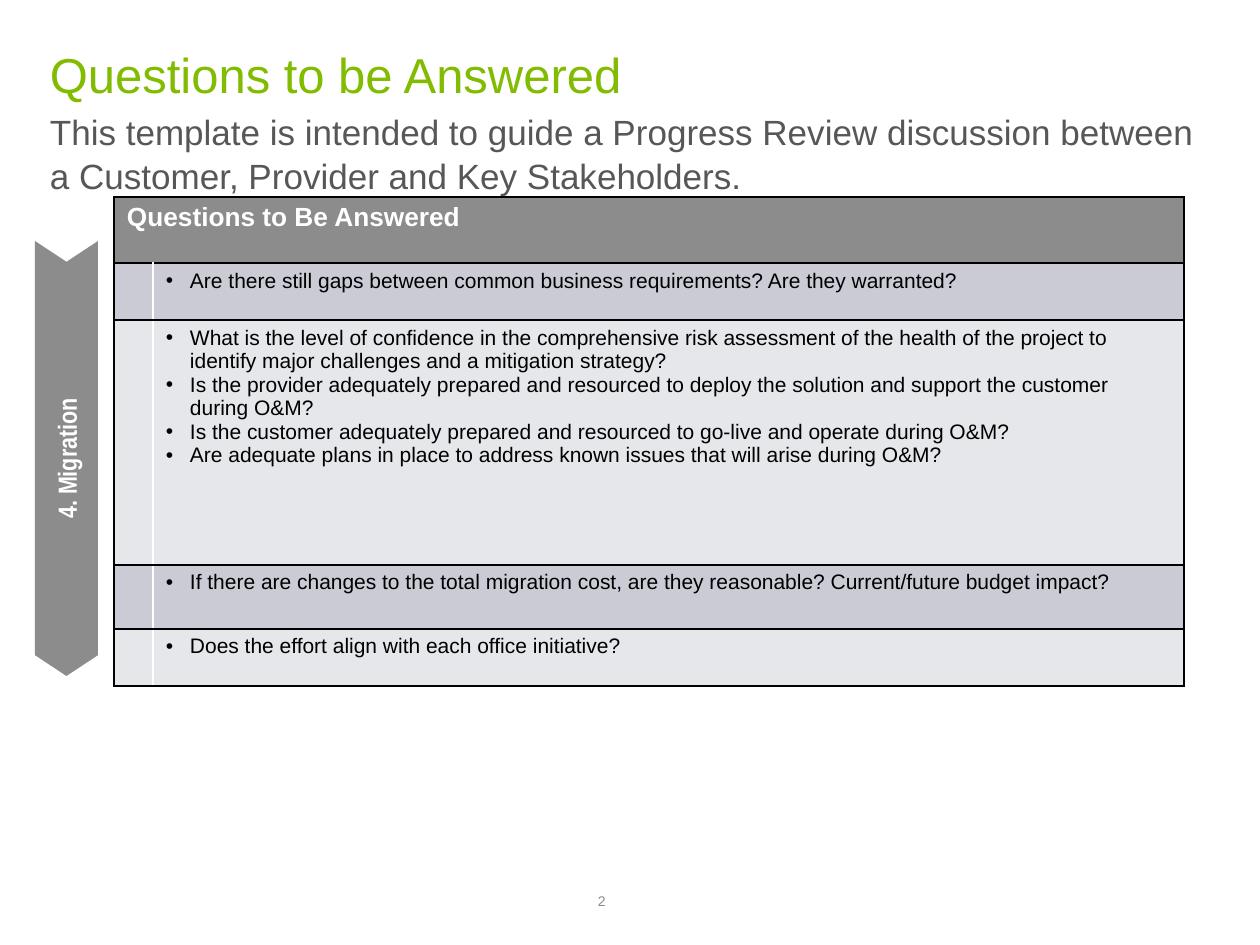
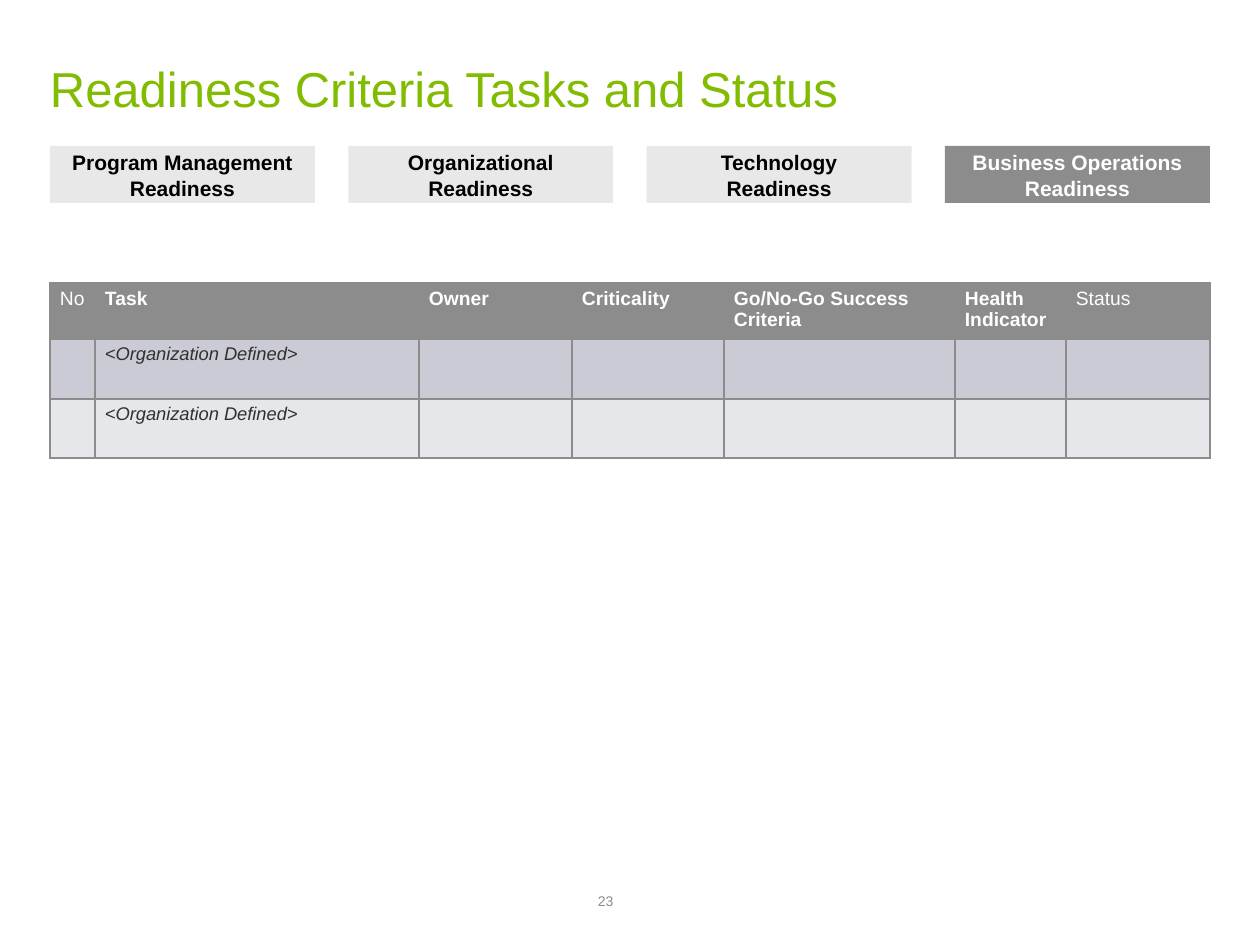
import pptx
import pptx.util
import pptx.dml.color
import pptx.enum.shapes
import pptx.enum.text
import pptx.oxml.ns
import lxml.etree

RGB = pptx.dml.color.RGBColor
SHAPE = pptx.enum.shapes.MSO_SHAPE
ALIGN = pptx.enum.text.PP_ALIGN
ANCHOR = pptx.enum.text.MSO_ANCHOR
Pt = pptx.util.Pt

GREEN = RGB(0x81, 0xBC, 0x00)
GRAY = RGB(0x8C, 0x8C, 0x8C)
DARK = RGB(0x57, 0x57, 0x57)
INK = RGB(0x31, 0x31, 0x31)
PALE = RGB(0xE8, 0xE8, 0xE8)
BANDS = (RGB(0xCA, 0xCB, 0xD5), RGB(0xE6, 0xE7, 0xEB))
BLACK = RGB(0, 0, 0)
WHITE = RGB(0xFF, 0xFF, 0xFF)

SCALE = 914400 / 126  # EMU in one px
LEFT, WIDE = 50, 1160
LOOSE = 1.06


def px(num):
    return round(num * SCALE)


def node(parent, tag, **attrs):
    return lxml.etree.SubElement(parent, pptx.oxml.ns.qn(tag), attrs)


class Deck:
    """Holds the shared style and the current slide."""

    font = "Arial"

    def __init__(self):
        self.file = pptx.Presentation()
        self.file.slide_width = px(1260)
        self.file.slide_height = px(945)
        self.slide = None

    def page(self, title, top, number):
        self.slide = self.file.slides.add_slide(self.file.slide_layouts[6])
        self.text(title, (LEFT, top, WIDE, 64), 28, GREEN, ANCHOR.MIDDLE, LOOSE)
        self.text(number, (598, 893, 63, 16), 8, GRAY, ANCHOR.BOTTOM)

    def fill_in(self, frame, lines, size, color, bold=False, italic=False,
                font=None, align=ALIGN.LEFT, space=None, bullet=False):
        frame.word_wrap = True
        for i, line in enumerate(lines):
            para = frame.paragraphs[0] if i == 0 else frame.add_paragraph()
            para.text = line
            para.alignment = align
            para.line_spacing = space
            para.font.name = font or self.font
            para.font.size = Pt(size)
            para.font.bold = bold
            para.font.italic = italic
            para.font.color.rgb = color
            if bullet:
                props = para._p.get_or_add_pPr()
                props.set("marL", str(px(24)))
                props.set("indent", str(px(-24)))
                # Bullet marks come before the paragraph's default font
                marks = [node(props, "a:buFont", typeface=self.font),
                         node(props, "a:buChar", char="•")]
                base = props.find(pptx.oxml.ns.qn("a:defRPr"))
                if base is not None:
                    for mark in marks:
                        base.addprevious(mark)

    def inset(self, part, wide, high):
        part.margin_left = part.margin_right = px(wide)
        part.margin_top = part.margin_bottom = px(high)

    def text(self, words, area, size, color, anchor=ANCHOR.TOP, space=None):
        frame = self.slide.shapes.add_textbox(*map(px, area)).text_frame
        self.inset(frame, 0, 0)
        frame.vertical_anchor = anchor
        self.fill_in(frame, [words], size, color, space=space)

    def shape(self, kind, area, fill, lines, size, color, pad=0, **style):
        shape = self.slide.shapes.add_shape(kind, *map(px, area))
        shape.shadow.inherit = False
        shape.fill.solid()
        shape.fill.fore_color.rgb = fill
        shape.line.fill.background()
        frame = shape.text_frame
        self.inset(frame, pad, pad)
        frame.vertical_anchor = ANCHOR.MIDDLE
        self.fill_in(frame, lines, size, color, bold=True, align=ALIGN.CENTER, **style)
        return shape

    def table(self, left, top, cols, rows):
        area = (left, top, sum(cols), sum(rows))
        grid = self.slide.shapes.add_table(len(rows), len(cols), *map(px, area)).table
        grid.first_row = grid.horz_banding = False
        for col, wide in zip(grid.columns, cols):
            col.width = px(wide)
        for row, high in zip(grid.rows, rows):
            row.height = px(high)
        return grid

    def cell(self, cell, fill, edges, pad):
        """Edges are the colours of the left, right, top and bottom lines."""
        self.inset(cell, *pad)
        props = cell._tc.get_or_add_tcPr()
        for side, color in zip("LRTB", edges):
            line = node(props, "a:ln" + side, w=str(Pt(1)))
            node(node(line, "a:solidFill"), "a:srgbClr", val=str(color))
        cell.fill.solid()
        cell.fill.fore_color.rgb = fill


def ask(deck):
    deck.page("Questions to be Answered", 40, "2")
    deck.text("This template is intended to guide a Progress Review discussion "
              "between a Customer, Provider and Key Stakeholders.",
              (LEFT, 108, WIDE, 105), 20, DARK, space=LOOSE)

    # Phase arrow pointing down
    arrow = deck.shape(SHAPE.CHEVRON, (-151, 427, 435, 63), GRAY,
                       ["4. Migration"], 15, WHITE, font="Arial Narrow")
    arrow.adjustments[0] = 0.33
    arrow.rotation = 270
    arrow._element.spPr.xfrm.set("flipH", "1")

    # Question table
    groups = [
        ["Are there still gaps between common business requirements? Are they warranted?"],
        ["What is the level of confidence in the comprehensive risk assessment of the "
         "health of the project to identify major challenges and a mitigation strategy?",
         "Is the provider adequately prepared and resourced to deploy the solution and "
         "support the customer during O&M?",
         "Is the customer adequately prepared and resourced to go-live and operate "
         "during O&M?",
         "Are adequate plans in place to address known issues that will arise during O&M?"],
        ["If there are changes to the total migration cost, are they reasonable? "
         "Current/future budget impact?"],
        ["Does the effort align with each office initiative?"],
    ]
    grid = deck.table(114, 197, (39, 1031), (66, 57, 245, 64, 57))
    pad = (13, 6)
    for col in range(2):
        deck.cell(grid.cell(0, col), GRAY, [BLACK] * 4, pad)
    grid.cell(0, 0).merge(grid.cell(0, 1))
    deck.fill_in(grid.cell(0, 0).text_frame, ["Questions to Be Answered"], 15, WHITE,
                 bold=True)
    for row, group in enumerate(groups, 1):
        fill = BANDS[(row - 1) % 2]
        deck.cell(grid.cell(row, 0), fill, (BLACK, WHITE, BLACK, BLACK), pad)
        body = grid.cell(row, 1)
        deck.cell(body, fill, (WHITE, BLACK, BLACK, BLACK), pad)
        deck.fill_in(body.text_frame, group, 12, BLACK, bullet=True)


def status(deck):
    deck.page("Readiness Criteria Tasks and Status", 54, "23")

    # Readiness tabs, the last one active
    tabs = (["Program Management Readiness"], ["Organizational Readiness"],
            ["Technology", "Readiness"], ["Business Operations Readiness"])
    wide = 265
    step = (WIDE - wide) / (len(tabs) - 1)
    for i, lines in enumerate(tabs):
        live = i == len(tabs) - 1
        deck.shape(SHAPE.RECTANGLE, (LEFT + i * step, 146, wide, 57),
                   GRAY if live else PALE, lines, 12, WHITE if live else BLACK,
                   pad=13, space=LOOSE)

    # Task table
    heads = ("No", "Task", "Owner", "Criticality", "Go/No-Go Success Criteria",
             "Health Indicator", "Status")
    grid = deck.table(LEFT, 283, (45, 324, 153, 152, 231, 111, 144), (52, 60, 59))
    for row in range(3):
        for col, head in enumerate(heads):
            cell = grid.cell(row, col)
            fill = BANDS[row - 1] if row else GRAY
            deck.cell(cell, fill, [GRAY] * 4, (10, 5))
            if row == 0:
                deck.fill_in(cell.text_frame, [head], 11, WHITE,
                             bold=head not in ("No", "Status"))
            elif head == "Task":
                deck.fill_in(cell.text_frame, ["<Organization Defined>"], 10.5, INK,
                             italic=True)


def main():
    deck = Deck()
    ask(deck)
    status(deck)
    deck.file.save("out.pptx")


if __name__ == "__main__":
    main()
